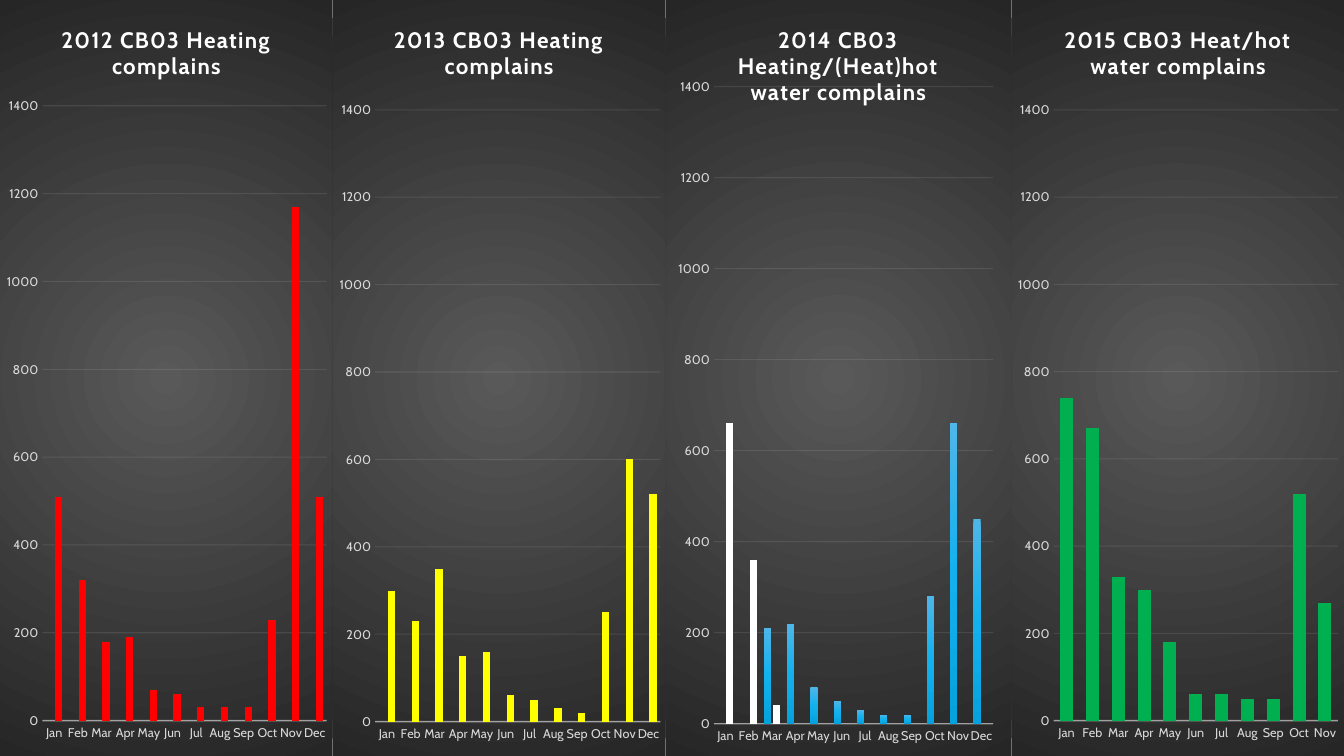
from dataclasses import dataclass

from lxml import etree
from pptx import Presentation
from pptx.chart.data import CategoryChartData
from pptx.dml.color import RGBColor
from pptx.enum.chart import XL_CHART_TYPE, XL_TICK_MARK
from pptx.oxml import parse_xml
from pptx.oxml.ns import nsdecls, qn
from pptx.util import Inches, Pt

COLUMNS = XL_CHART_TYPE.COLUMN_CLUSTERED
NO_TICK = XL_TICK_MARK.NONE


@dataclass(frozen=True)
class Theme:
    font: str = "Cabin"
    title_size: int = 16
    label_size: int = 9
    title: str = "FFFFFF"
    label: str = "D9D9D9"
    line: str = "F2F2F2"
    panel: tuple = ((0, "595959"), (100, "262626"))
    blue: tuple = ((0, "4FB6E9"), (50, "12B1EE"), (100, "06A2DD"))
    red: str = "FF0000"
    yellow: str = "FFFF00"
    white: str = "FFFFFF"
    green: str = "00B050"


THEME = Theme()
MONTHS = ["Jan", "Feb", "Mar", "Apr", "May", "Jun",
          "Jul", "Aug", "Sep", "Oct", "Nov", "Dec"]
EMPTY = [None] * 12

# Box and plot area are left, top, width, height in inches; plot is relative to its box.
YEARS = [
    dict(title="2012 CB03 Heating complains",
         box=(0, 0, 3.3, 7.5), plot=(0.42, 1.05, 2.82, 6.1),
         series=[(EMPTY, THEME.blue),
                 ([510, 320, 180, 190, 70, 60, 30, 30, 30, 230, 1170, 510], THEME.red)]),
    dict(title="2013 CB03 Heating complains",
         box=(3.3, 0, 3.3, 7.51), plot=(0.42, 1.09, 2.83, 6.07),
         series=[(EMPTY, THEME.blue),
                 ([300, 230, 350, 150, 160, 60, 50, 30, 20, 250, 600, 520], THEME.yellow)]),
    dict(title="2014 CB03 Heating/(Heat)hot water complains",
         box=(6.6, 0, 3.43, 7.5), plot=(0.48, 0.86, 2.77, 6.32),
         series=[([None, None, 210, 220, 80, 50, 30, 20, 20, 280, 660, 450], THEME.blue),
                 ([660, 360, 40] + [None] * 9, THEME.white)]),
    dict(title="2015 CB03 Heat/hot water complains",
         box=(10.03, 0, 3.31, 7.5), plot=(0.42, 1.09, 2.82, 6.06),
         series=[([740, 670, 330, 300, 180, 60, 60, 50, 50, 520, 270], THEME.green)]),
]


def gradient_shape(stops, direction):
    """Return a c:spPr with a gradient fill and no outline."""
    marks = "".join(f'<a:gs pos="{place * 1000}"><a:srgbClr val="{color}"/></a:gs>'
                    for place, color in stops)
    return parse_xml(f'<c:spPr {nsdecls("c", "a")}><a:gradFill><a:gsLst>{marks}</a:gsLst>'
                     f'{direction}</a:gradFill><a:ln><a:noFill/></a:ln></c:spPr>')


def style_line(line, width, opacity):
    line.width = Pt(width)
    line.color.rgb = RGBColor.from_string(THEME.line)
    color = line._ln.find(".//" + qn("a:srgbClr"))
    etree.SubElement(color, qn("a:alpha")).set("val", str(opacity * 1000))


def style_font(font, size, color, bold=False):
    font.name = THEME.font
    font.size = Pt(size)
    font.bold = bold
    font.color.rgb = RGBColor.from_string(color)


def style_axes(chart):
    months, counts = chart.category_axis, chart.value_axis
    for axis in (months, counts):
        axis.major_tick_mark = axis.minor_tick_mark = NO_TICK
        style_font(axis.tick_labels.font, THEME.label_size, THEME.label)
    style_line(months.format.line, 1, 54)
    counts.format.line.fill.background()
    counts.minimum_scale, counts.maximum_scale, counts.major_unit = 0, 1400, 200
    counts.has_major_gridlines = True
    style_line(counts.major_gridlines.format.line, 0.75, 10)


def style_title(chart, text):
    frame = chart.chart_title.text_frame
    frame.text = text
    para = frame.paragraphs[0]
    style_font(para.font, THEME.title_size, THEME.title, bold=True)
    para._p.find(".//" + qn("a:defRPr")).set("spc", "100")
    chart.chart_title.include_in_layout = False


def place_plot(chart, plot, box):
    """Fix the inner plot area at a place given in inches within the box."""
    sizes = (box[2], box[3]) * 2
    parts = "".join(f'<c:{name} val="{length / size:.4f}"/>'
                    for name, length, size in zip("xywh", plot, sizes))
    layout = parse_xml(f'<c:layout {nsdecls("c")}><c:manualLayout>'
                       '<c:layoutTarget val="inner"/><c:xMode val="edge"/>'
                       f'<c:yMode val="edge"/>{parts}</c:manualLayout></c:layout>')
    area = chart._chartSpace.chart.plotArea
    for old in area.findall(qn("c:layout")):
        area.remove(old)
    area.insert(0, layout)


def color_series(series, color):
    series.invert_if_negative = False
    if isinstance(color, str):
        series.format.fill.solid()
        series.format.fill.fore_color.rgb = RGBColor.from_string(color)
    else:
        shape = series._element.get_or_add_spPr()
        shape.getparent().replace(
            shape, gradient_shape(color, '<a:lin ang="5400000" scaled="0"/>'))


def add_year(page, title, box, plot, series):
    """Add one year's panel: dark background, title and monthly columns."""
    data = CategoryChartData()
    data.categories = MONTHS[:len(series[0][0])]
    for number, (values, _) in enumerate(series, 1):
        data.add_series(f"Series {number}", values)
    chart = page.shapes.add_chart(COLUMNS, *map(Inches, box), data).chart
    chart.has_legend = False
    chart.font.name = THEME.font
    chart.font.size = Pt(10)

    columns = chart.plots[0]
    columns.vary_by_categories = False
    columns.gap_width, columns.overlap = 100, -24
    for column_series, (_, color) in zip(columns.series, series):
        color_series(column_series, color)

    style_title(chart, title)
    style_axes(chart)
    place_plot(chart, plot, box)
    center = ('<a:path path="circle"><a:fillToRect l="50000" t="50000" '
              'r="50000" b="50000"/></a:path>')
    chart._chartSpace.chart.addnext(gradient_shape(THEME.panel, center))


def main():
    deck = Presentation()
    deck.slide_width, deck.slide_height = Inches(13.33), Inches(7.5)
    page = deck.slides.add_slide(deck.slide_layouts[6])
    for year in YEARS:
        add_year(page, **year)
    deck.save("out.pptx")


if __name__ == "__main__":
    main()
